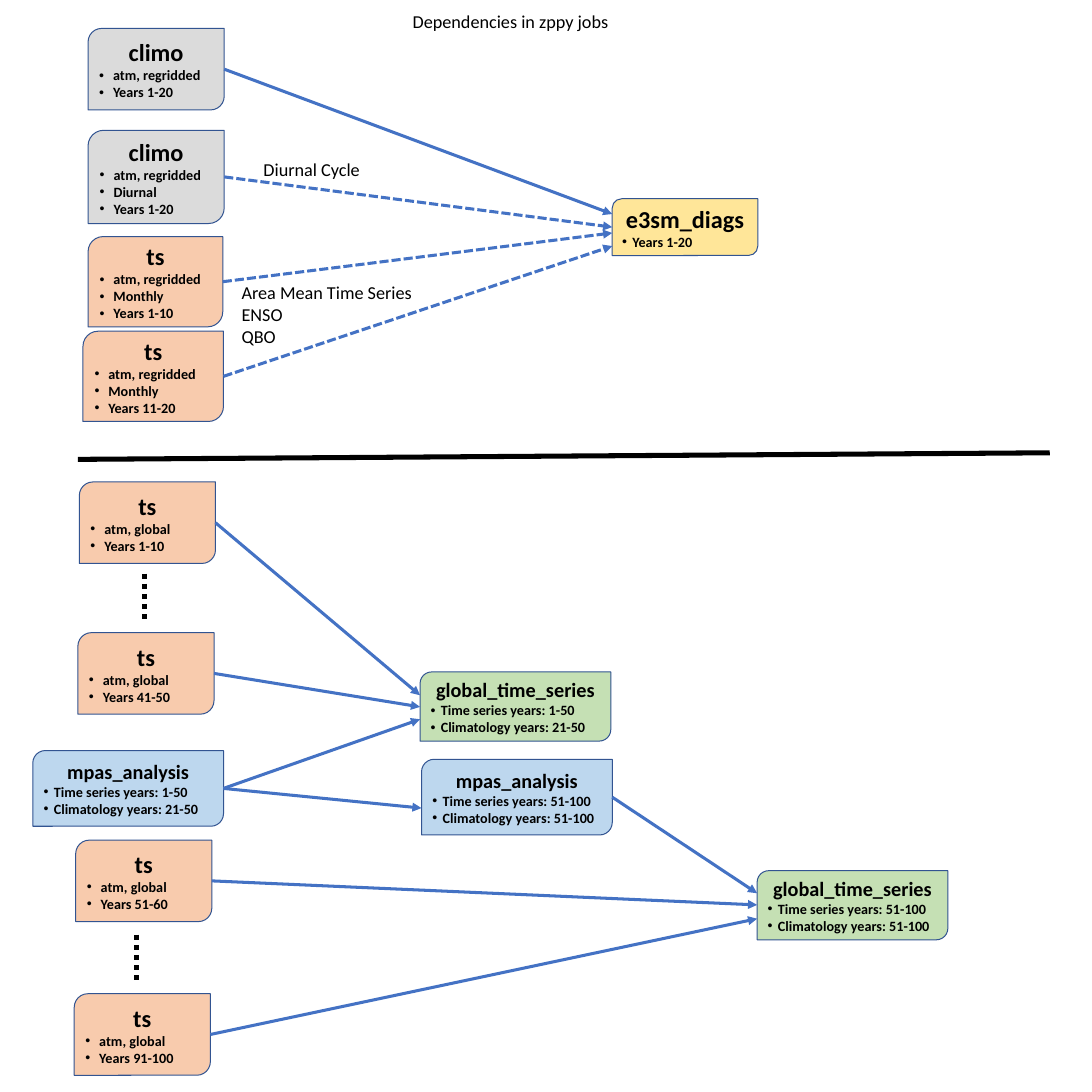
import lxml.etree
import pptx
import pptx.dml.color
import pptx.enum.dml
import pptx.enum.shapes
import pptx.enum.text
import pptx.oxml.ns
import pptx.util

prs = pptx.Presentation()
prs.slide_width = prs.slide_height = pptx.util.Inches(15)
s = prs.slides.add_slide(prs.slide_layouts[6])

CELL = prs.slide_width // 15  # the slide is a grid of 15 columns and 15 rows
Pt = pptx.util.Pt
qn = pptx.oxml.ns.qn
ALIGN = pptx.enum.text.PP_ALIGN
DASH = pptx.enum.dml.MSO_LINE.SQUARE_DOT
DOTS = pptx.enum.dml.MSO_LINE.ROUND_DOT
GRAY, ORANGE, YELLOW, GREEN, BLUE = "DBDBDB", "F8CBAD", "FFE699", "C5E0B4", "BDD7EE"
BLACK, OUTLINE, ARROW = "000000", "325491", "4472C4"


def color(value):
    """Turn a hex string into a colour."""
    return pptx.dml.color.RGBColor.from_string(value)


def add_line(x1, y1, x2, y2, stroke, width, dash=None, arrow=False):
    """Draw a straight line between two grid points."""
    ends = [round(v * CELL) for v in (x1, y1, x2, y2)]
    c = s.shapes.add_connector(pptx.enum.shapes.MSO_CONNECTOR.STRAIGHT, *ends)
    c.line.color.rgb = color(stroke)
    c.line.width = Pt(width)
    if dash is not None:
        c.line.dash_style = dash
    if arrow:
        ln = c.line._get_or_add_ln()
        lxml.etree.SubElement(ln, qn("a:tailEnd"), type="triangle")
    lxml.etree.SubElement(c._element.spPr, qn("a:effectLst"))


# Jobs: left, top, width, height, fill, title size, bullet indent, title, bullets
SMALL, WIDE = (24, 0.19), (20, 0.14)
jobs = {
    "climo": (1.21, 0.39, 1.87, 1.12, GRAY, *SMALL, "climo",
              ["atm, regridded", "Years 1-20"]),
    "diurnal": (1.21, 1.79, 1.87, 1.28, GRAY, *SMALL, "climo",
                ["atm, regridded", "Diurnal", "Years 1-20"]),
    "monthly 1": (1.21, 3.25, 1.85, 1.24, ORANGE, *SMALL, "ts",
                  ["atm, regridded", "Monthly", "Years 1-10"]),
    "monthly 11": (1.14, 4.55, 1.93, 1.24, ORANGE, *SMALL, "ts",
                   ["atm, regridded", "Monthly", "Years 11-20"]),
    "diags": (8.41, 2.73, 2, 0.78, YELLOW, 24, 0.14, "e3sm_diags", ["Years 1-20"]),
}
for left, top, years in [(1.09, 6.62, "1-10"), (1.07, 8.69, "41-50"),
                         (1.04, 11.54, "51-60"), (1.02, 13.65, "91-100")]:
    jobs["global " + years] = (left, top, 1.87, 1.12, ORANGE, *SMALL, "ts",
                               ["atm, global", "Years " + years])
for key, left, top, height, fill, title, series, climatology in [
        ("series 50", 5.77, 9.23, 0.95, GREEN, "global_time_series", "1-50", "21-50"),
        ("series 100", 10.4, 11.96, 0.95, GREEN, "global_time_series", "51-100", "51-100"),
        ("mpas 50", 0.45, 10.31, 1.04, BLUE, "mpas_analysis", "1-50", "21-50"),
        ("mpas 100", 5.79, 10.43, 1.04, BLUE, "mpas_analysis", "51-100", "51-100")]:
    jobs[key] = (left, top, 2.62, height, fill, *WIDE, title,
                 ["Time series years: " + series, "Climatology years: " + climatology])

for left, top, width, height, fill, size, indent, title, bullets in jobs.values():
    box = [round(v * CELL) for v in (left, top, width, height)]
    sp = s.shapes.add_shape(
        pptx.enum.shapes.MSO_SHAPE.ROUND_2_DIAG_RECTANGLE, *box)
    sp.shadow.inherit = False
    sp.fill.solid()
    sp.fill.fore_color.rgb = color(fill)
    sp.line.color.rgb = color(OUTLINE)
    sp.line.width = Pt(1)
    tf = sp.text_frame
    tf.word_wrap = True
    tf.text = "\n".join([title] + bullets)
    for i, p in enumerate(tf.paragraphs):
        p.alignment = ALIGN.LEFT if i else ALIGN.CENTER
        p.font.name = "Calibri"
        p.font.size = Pt(14 if i else size)
        p.font.bold = True
        p.font.color.rgb = color(BLACK)
        if i:
            pPr = p._p.get_or_add_pPr()
            pPr.set("marL", str(round(indent * CELL)))
            pPr.set("indent", str(-round(indent * CELL)))
            bullet_font = lxml.etree.Element(qn("a:buFont"), typeface="Arial")
            bullet = lxml.etree.Element(qn("a:buChar"), char="•")
            pPr.insert(0, bullet_font)
            pPr.insert(1, bullet)

# Each arrow runs from the middle of a job's right side to a row on the next job's left side
for source, target, row, dash in [
        ("climo", "diags", 2.94, None),
        ("diurnal", "diags", 3.12, DASH),
        ("monthly 1", "diags", 3.2, DASH),
        ("monthly 11", "diags", 3.38, DASH),
        ("global 1-10", "series 50", 9.55, None),
        ("global 41-50", "series 50", 9.71, None),
        ("mpas 50", "series 50", 9.88, None),
        ("mpas 50", "mpas 100", 11.1, None),
        ("mpas 100", "series 100", 12.27, None),
        ("global 51-60", "series 100", 12.43, None),
        ("global 91-100", "series 100", 12.62, None)]:
    left, top, width, height = jobs[source][:4]
    add_line(left + width, top + height / 2, jobs[target][0], row, ARROW, 3, dash, True)

# Divider between the two diagrams, and dots for the skipped jobs
add_line(1.07, 6.31, 14.42, 6.22, BLACK, 5)
for x, y in [(1.98, 7.88), (1.88, 12.84)]:
    add_line(x, y, x, y + 0.63, BLACK, 5, DOTS)

for left, top, width, height, text in [
        (5.57, 0.09, 3.6, 0.4, "Dependencies in zppy jobs"),
        (3.52, 2.12, 2.22, 0.4, "Diurnal Cycle"),
        (3.22, 3.82, 3.06, 1.01, "Area Mean Time Series\nENSO\nQBO")]:
    box = [round(v * CELL) for v in (left, top, width, height)]
    tf = s.shapes.add_textbox(*box).text_frame
    tf.word_wrap = True
    tf.auto_size = pptx.enum.text.MSO_AUTO_SIZE.SHAPE_TO_FIT_TEXT
    tf.text = text
    for p in tf.paragraphs:
        p.font.name = "Calibri"
        p.font.size = Pt(18)
        p.font.color.rgb = color(BLACK)

prs.save("out.pptx")
